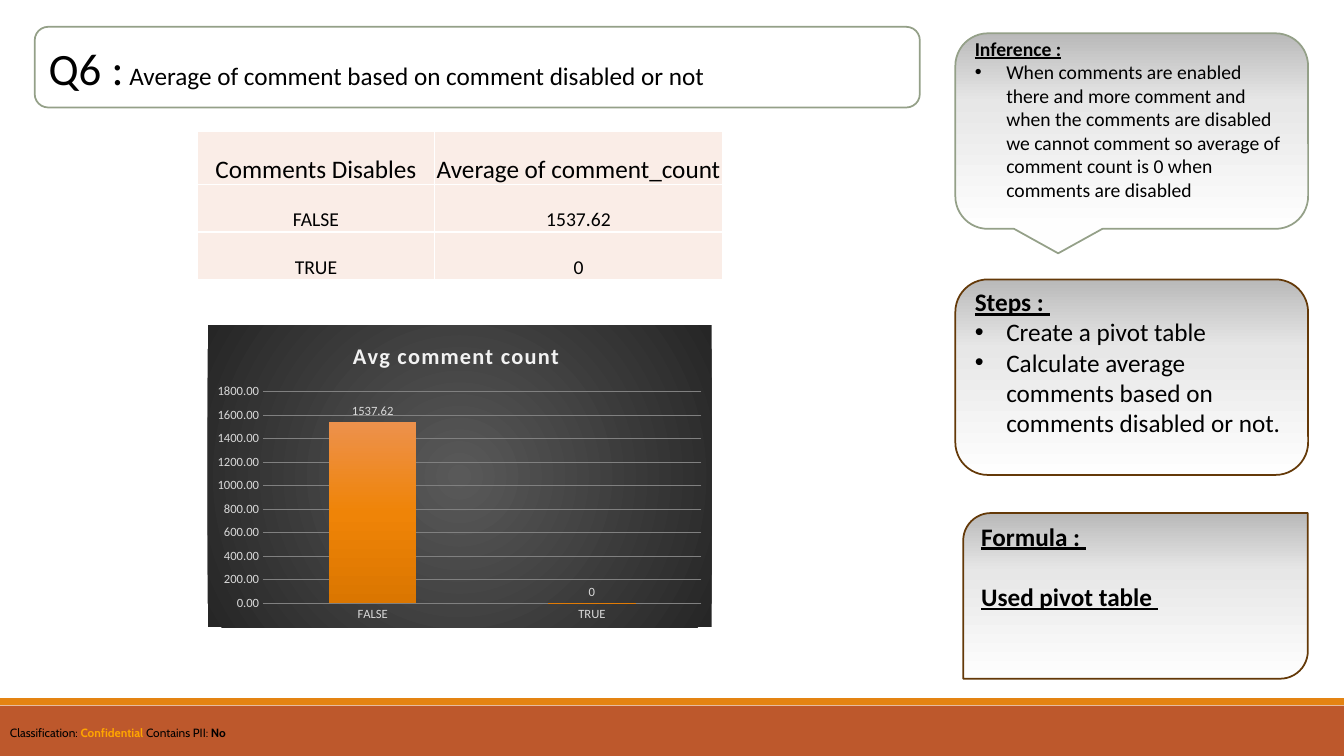
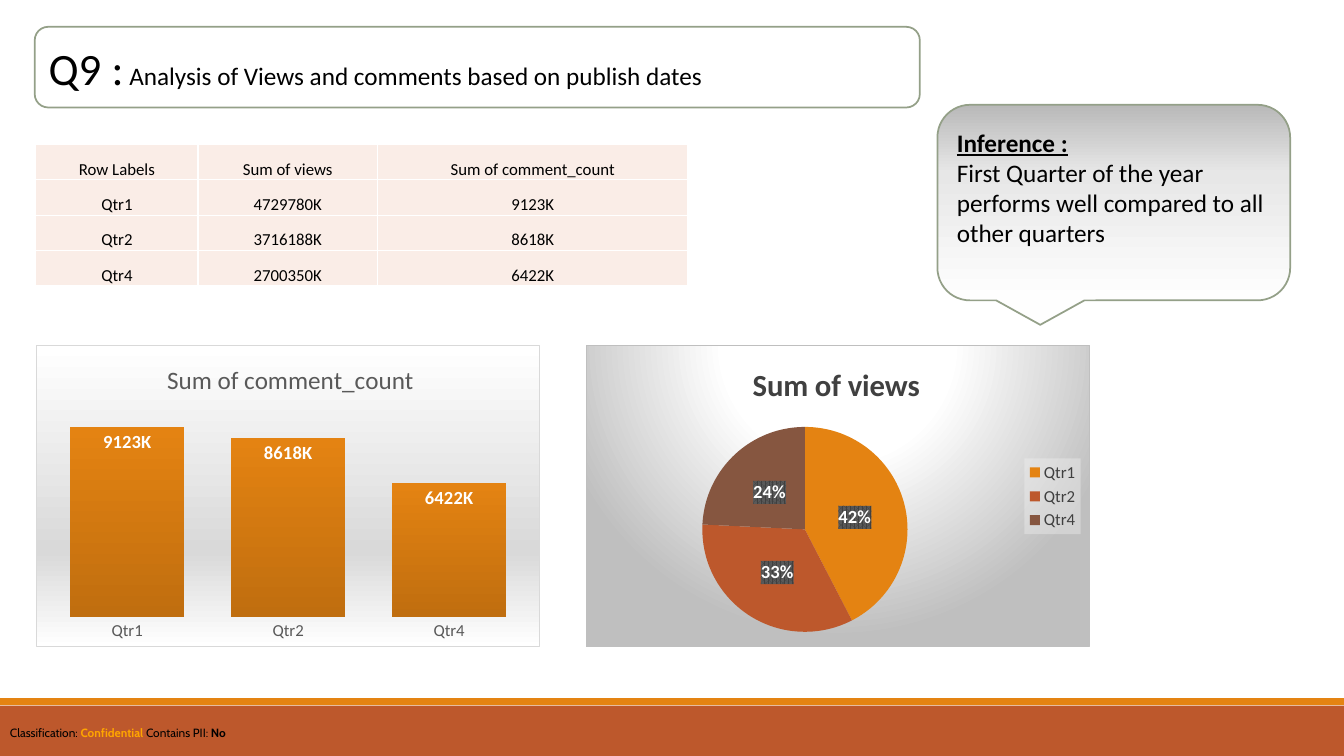
from dataclasses import dataclass
from typing import NamedTuple, Optional

from lxml import etree
from pptx import Presentation
from pptx.chart.data import CategoryChartData
from pptx.dml.color import RGBColor
from pptx.enum.chart import XL_CHART_TYPE as ChartType
from pptx.enum.chart import XL_LABEL_POSITION as LabelPos
from pptx.enum.chart import XL_LEGEND_POSITION as LegendPos
from pptx.enum.chart import XL_TICK_LABEL_POSITION as TickLabels
from pptx.enum.chart import XL_TICK_MARK as TickMark
from pptx.enum.shapes import MSO_SHAPE as Preset
from pptx.enum.text import MSO_ANCHOR as Anchor
from pptx.enum.text import PP_ALIGN as Align
from pptx.oxml import parse_xml
from pptx.oxml.ns import nsdecls, qn
from pptx.util import Pt

COLORS = {
    "black": "000000", "white": "FFFFFF", "orange": "E48312", "rust": "BD582C",
    "brown": "865640", "sage": "94A088", "dark_brown": "643908", "amber": "FFA500",
    "cell": "FAEDE7", "mist": "F2F2F2", "silver": "D9D9D9", "steel": "BFBFBF",
    "gray": "808080", "slate": "595959", "charcoal": "404040", "ink": "262626",
}
FONT = "Calibri"
THOUSANDS = '0,"K"'
CHART_SIZE = (360, 216)
CARD_SIZE = (252, 139.7)


class Box(NamedTuple):
    left: float
    top: float
    width: float
    height: float

    def emu(self) -> list:
        return [Pt(length) for length in self]


class Gradient(NamedTuple):
    stops: tuple
    angle: int = 0
    center: Optional[tuple] = None  # left, top, right, bottom in percent


class Line(NamedTuple):
    text: str
    heading: bool = False
    bullet: bool = False
    before: float = 0


class Heading(NamedTuple):
    text: str
    size: float
    color: str
    bold: bool
    left: float
    top: float
    spacing: int = 0


@dataclass
class Card:
    box: Box
    preset: Preset
    outline: str
    size: float
    bottom: float
    lines: list


@dataclass
class ChartSpec:
    box: Box
    kind: ChartType
    series: str
    values: dict
    number_format: str
    heading: Heading
    plot: tuple
    background: Gradient
    border: Optional[str] = None


CARD_FILL = Gradient(((0, "FEFEFE"), (65, "E7E7E7"), (100, "B9B9B9")), 270)


def rgb(name: str) -> RGBColor:
    return RGBColor.from_string(COLORS[name])


def style(font, size: float, color: str = "black", bold: bool = False, face: str = FONT) -> None:
    font.name, font.size, font.bold = face, Pt(size), bold
    font.color.rgb = rgb(color)


def gradient_xml(gradient: Gradient):
    stops = "".join(f'<a:gs pos="{at * 1000}"><a:srgbClr val="{color}"/></a:gs>'
                    for at, color in gradient.stops)
    if gradient.center:
        edges = " ".join(f'{side}="{value * 1000}"' for side, value in zip("ltrb", gradient.center))
        course = f'<a:path path="circle"><a:fillToRect {edges}/></a:path>'
    else:
        course = f'<a:lin ang="{gradient.angle * 60000}" scaled="0"/>'
    return parse_xml(f'<a:gradFill {nsdecls("a")} rotWithShape="1"><a:gsLst>{stops}</a:gsLst>'
                     f'{course}</a:gradFill>')


def fill_gradient(fill, properties, gradient: Gradient) -> None:
    fill.solid()
    solid = properties.find(qn("a:solidFill"))
    properties.replace(solid, gradient_xml(gradient))


def add_panel(slide, box: Box, preset: Preset, fill: str, outline: Optional[str] = None):
    panel = slide.shapes.add_shape(preset, *box.emu())
    panel.shadow.inherit = False
    panel.fill.solid()
    panel.fill.fore_color.rgb = rgb(fill)
    if outline:
        panel.line.color.rgb = rgb(outline)
        panel.line.width = Pt(1.25)
    else:
        panel.line.fill.background()
    panel.text_frame.word_wrap = True
    panel.text_frame.vertical_anchor = Anchor.MIDDLE
    panel.text_frame.paragraphs[0].alignment = Align.LEFT
    return panel


def add_frame(prs, number: str, question: str):
    """Slide with footer bands, classification and question title."""
    slide = prs.slides.add_slide(prs.slide_layouts[6])
    add_panel(slide, Box(0, 504, 960, 36), Preset.RECTANGLE, "rust")
    add_panel(slide, Box(0, 498.7, 960, 5), Preset.RECTANGLE, "orange")
    footer = slide.shapes.add_textbox(*Box(0, 514.8, 960, 17.3).emu()).text_frame
    footer.word_wrap = True
    for text, color, bold in (("Classification: ", "black", False), ("Confidential", "amber", True),
                              (" Contains PII: ", "black", False), ("No", "black", True)):
        run = footer.paragraphs[0].add_run()
        run.text = text
        style(run.font, 8.5, color, bold, "Cabin")
    title = add_panel(slide, Box(24.8, 19.2, 632.2, 57.6), Preset.ROUNDED_RECTANGLE, "white", "sage")
    for text, size in ((f"{number} :", 32), (f" {question}", 18)):
        run = title.text_frame.paragraphs[0].add_run()
        run.text = text
        style(run.font, size)
    return slide


def add_card(slide, card: Card) -> None:
    panel = add_panel(slide, card.box, card.preset, "white", card.outline)
    fill_gradient(panel.fill, panel.element.spPr, CARD_FILL)
    frame = panel.text_frame
    frame.margin_bottom = Pt(card.bottom)
    for index, line in enumerate(card.lines):
        paragraph = frame.add_paragraph() if index else frame.paragraphs[0]
        paragraph.alignment = Align.LEFT
        paragraph.text = line.text
        if line.before:
            paragraph.space_before = Pt(line.before)
        if line.bullet:
            props = paragraph._p.get_or_add_pPr()
            props.set("marL", str(Pt(22.5)))
            props.set("indent", str(-Pt(22.5)))
            etree.SubElement(props, qn("a:buFont")).set("typeface", "Arial")
            etree.SubElement(props, qn("a:buChar")).set("char", "•")
        style(paragraph.font, card.size, bold=line.heading)
        paragraph.font.underline = line.heading


def add_grid(slide, left: float, top: float, widths: list, heights: list,
             rows: list, sizes: list) -> None:
    box = Box(left, top, sum(widths), sum(heights))
    table = slide.shapes.add_table(len(rows), len(widths), *box.emu()).table
    table.first_row = table.horz_banding = False
    for column, width in zip(table.columns, widths):
        column.width = Pt(width)
    for r, (texts, height, size) in enumerate(zip(rows, heights, sizes)):
        table.rows[r].height = Pt(height)
        for c, text in enumerate(texts):
            cell = table.cell(r, c)
            cell.text = text
            cell.vertical_anchor = Anchor.BOTTOM
            cell.margin_left = cell.margin_right = cell.margin_top = Pt(0.75)
            cell.margin_bottom = 0
            for side in "LRTB":
                cell._tc.get_or_add_tcPr().append(parse_xml(
                    f'<a:ln{side} {nsdecls("a")} w="{Pt(1)}"><a:solidFill>'
                    f'<a:srgbClr val="{COLORS["white"]}"/></a:solidFill></a:ln{side}>'))
            cell.fill.solid()
            cell.fill.fore_color.rgb = rgb("cell")
            paragraph = cell.text_frame.paragraphs[0]
            paragraph.alignment = Align.CENTER
            style(paragraph.font, size)


def place(parent, position: int, inner: bool, **share: float) -> None:
    """Fixed layout, in shares of the chart area."""
    for old in parent.findall(qn("c:layout")):
        parent.remove(old)
    target = '<c:layoutTarget val="inner"/>' if inner else ""
    modes = "".join(f'<c:{axis}Mode val="edge"/>' for axis in "xy")
    values = "".join(f'<c:{key} val="{value}"/>' for key, value in share.items())
    parent.insert(position, parse_xml(f'<c:layout {nsdecls("c")}><c:manualLayout>{target}{modes}'
                                      f'{values}</c:manualLayout></c:layout>'))


def add_graph(slide, spec: ChartSpec):
    data = CategoryChartData(number_format=spec.number_format)
    data.categories = list(spec.values)
    data.add_series(spec.series, list(spec.values.values()))
    chart = slide.shapes.add_chart(spec.kind, *spec.box.emu(), data).chart
    style(chart.font, 10)
    chart.has_legend = False
    # Title
    heading = spec.heading
    chart.has_title = True
    paragraph = chart.chart_title.text_frame.paragraphs[0]
    run = paragraph.add_run()
    run.text = heading.text
    style(run.font, heading.size, heading.color, heading.bold)
    if heading.spacing:
        run._r.get_or_add_rPr().set("spc", str(heading.spacing))
    place(chart.chart_title._element, 1, False, x=heading.left, y=heading.top)
    # Plot and background
    place(chart._chartSpace.chart.plotArea, 0, True, **dict(zip("xywh", spec.plot)))
    area = parse_xml(f'<c:spPr {nsdecls("c", "a")}/>')
    area.append(gradient_xml(spec.background))
    edge = (f'<a:solidFill><a:srgbClr val="{COLORS[spec.border]}"/></a:solidFill>'
            if spec.border else "<a:noFill/>")
    area.append(parse_xml(f'<a:ln {nsdecls("a")} w="{Pt(0.75)}">{edge}</a:ln>'))
    chart._chartSpace.chart.addnext(area)
    return chart


def add_labels(plot, position: LabelPos, size: float, color: str, bold: bool, number_format: str):
    plot.has_data_labels = True
    labels = plot.data_labels
    style(labels.font, size, color, bold)
    labels.number_format, labels.number_format_is_linked = number_format, False
    labels.position = position
    return labels


def style_columns(chart, gap: int, bars: Gradient, top: float, step: float,
                  text: tuple, show_scale: bool) -> None:
    plot = chart.plots[0]
    plot.gap_width, plot.vary_by_categories = gap, False
    series = plot.series[0]
    fill_gradient(series.format.fill, series._element.spPr, bars)
    scale = chart.value_axis
    scale.minimum_scale, scale.maximum_scale, scale.major_unit = 0, top, step
    scale.has_major_gridlines = show_scale
    for axis in (chart.category_axis, scale):
        axis.major_tick_mark = axis.minor_tick_mark = TickMark.NONE
        axis.format.line.fill.background()
        style(axis.tick_labels.font, *text)
    if show_scale:
        scale.major_gridlines.format.line.color.rgb = rgb("gray")
        scale.major_gridlines.format.line.width = Pt(0.75)
    else:
        scale.tick_label_position = TickLabels.NONE


def style_pie(chart) -> None:
    plot = chart.plots[0]
    plot.vary_by_categories = True
    for index, color in enumerate(("orange", "rust", "brown")):
        slice_fill = plot.series[0].points[index].format.fill
        slice_fill.solid()
        slice_fill.fore_color.rgb = rgb(color)
    labels = add_labels(plot, LabelPos.CENTER, 13.3, "white", True, "0%")
    labels.show_percentage, labels.show_value = True, False
    labels._element.find(qn("c:txPr")).addprevious(parse_xml(
        f'<c:spPr {nsdecls("c", "a")}><a:pattFill prst="pct75">'
        f'<a:fgClr><a:srgbClr val="{COLORS["charcoal"]}"/></a:fgClr>'
        f'<a:bgClr><a:srgbClr val="{COLORS["slate"]}"/></a:bgClr></a:pattFill></c:spPr>'))
    chart.has_legend = True
    chart.legend.position = LegendPos.RIGHT
    chart.legend.include_in_layout = False
    style(chart.legend.font, 12, "charcoal")
    chart.legend._element.find(qn("c:txPr")).addprevious(parse_xml(
        f'<c:spPr {nsdecls("c", "a")}><a:solidFill><a:srgbClr val="{COLORS["mist"]}">'
        '<a:alpha val="39000"/></a:srgbClr></a:solidFill></c:spPr>'))


def build_disabled_comments(prs) -> None:
    slide = add_frame(prs, "Q6", "Average of comment based on comment disabled or not")
    for card in (
        Card(Box(682.4, 23.8, *CARD_SIZE), Preset.ROUNDED_RECTANGULAR_CALLOUT, "sage", 14, 21, [
            Line("Inference :", heading=True),
            Line("When comments are enabled there and more comment and when the comments are "
                 "disabled we cannot comment so average of comment count is 0 when comments "
                 "are disabled", bullet=True)]),
        Card(Box(682.4, 199.6, *CARD_SIZE), Preset.ROUNDED_RECTANGLE, "dark_brown", 18, 25, [
            Line("Steps : ", heading=True),
            Line("Create a pivot table", bullet=True),
            Line("Calculate average comments based on comments disabled or not.", bullet=True)]),
        Card(Box(688, 366.5, 246.2, 118.3), Preset.ROUND_2_DIAG_RECTANGLE, "dark_brown", 18, 46, [
            Line("Formula : ", heading=True),
            Line("Used pivot table ", heading=True, before=21.5)]),
    ):
        add_card(slide, card)
    add_grid(slide, 141.1, 93.8, [169.2, 205.9], [38.2, 33.8, 33.8],
             [("Comments Disables", "Average of comment_count"), ("FALSE", "1537.62"), ("TRUE", "0")],
             [18, 14, 14])
    average = add_graph(slide, ChartSpec(
        Box(148.3, 232.2, *CHART_SIZE), ChartType.COLUMN_CLUSTERED, "Series 1",
        {"FALSE": 1537.62, "TRUE": 0}, "0.00",
        Heading("Avg comment count", 16, "mist", True, 0.28, 0.04, 100), (0.11, 0.22, 0.87, 0.7),
        Gradient(((0, COLORS["slate"]), (100, COLORS["ink"])), center=(50, 50, 50, 50))))
    style_columns(average, 150, Gradient(((0, "ED914C"), (50, "EF8407"), (100, "DB7600")), 90),
                  1800, 200, (9, "silver"), True)
    add_labels(average.plots[0], LabelPos.OUTSIDE_END, 9, "silver", False, "General").show_value = True


def build_publish_dates(prs) -> None:
    slide = add_frame(prs, "Q9", "Analysis of Views and comments based on publish dates")
    add_card(slide, Card(
        Box(669.6, 74.9, *CARD_SIZE), Preset.ROUNDED_RECTANGULAR_CALLOUT, "sage", 18, 25, [
            Line("Inference :", heading=True),
            Line("First Quarter of the year performs well compared to all other quarters")]))
    views = {"Qtr1": 4729780, "Qtr2": 3716188, "Qtr4": 2700350}
    comments = {"Qtr1": 9123, "Qtr2": 8618, "Qtr4": 6422}
    rows = [("Row Labels", "Sum of views", "Sum of comment_count")]
    rows += [(quarter, f"{views[quarter]}K", f"{comments[quarter]}K") for quarter in views]
    add_grid(slide, 25.6, 103.3, [115.9, 128.2, 221.8], [25.2] * 4, rows, [12] * 4)
    # Comments by quarter
    columns = add_graph(slide, ChartSpec(
        Box(25.9, 246.5, *CHART_SIZE), ChartType.COLUMN_CLUSTERED, "Sum of comment_count",
        {quarter: count * 1000 for quarter, count in comments.items()}, THOUSANDS,
        Heading("Sum of comment_count", 18, "slate", False, 0.25, 0.04), (0.02, 0.21, 0.96, 0.69),
        Gradient(((0, "FFFFFF"), (68, "D9D9D9"), (100, "FFFFFF")), 90), "silver"))
    style_columns(columns, 41, Gradient(((0, COLORS["orange"]), (100, "C06E0F")), 90),
                  10_000_000, 2_000_000, (12, "slate"), False)
    add_labels(columns.plots[0], LabelPos.INSIDE_END, 13.3, "white", True, THOUSANDS).show_value = True
    # Views by quarter
    style_pie(add_graph(slide, ChartSpec(
        Box(418.3, 246.5, *CHART_SIZE), ChartType.PIE, "Sum of views",
        {"Qtr1": 42, "Qtr2": 33, "Qtr4": 24}, "General",
        Heading("Sum of views", 22, "charcoal", True, 0.32, 0.04), (0.23, 0.27, 0.41, 0.68),
        Gradient(((0, "FFFFFF"), (39, "FFFFFF"), (100, "BFBFBF")), center=(50, -80, 50, 180)),
        "steel")))


def main() -> None:
    prs = Presentation()
    prs.slide_width, prs.slide_height = Pt(960), Pt(540)
    build_disabled_comments(prs)
    build_publish_dates(prs)
    prs.save("out.pptx")


if __name__ == "__main__":
    main()
